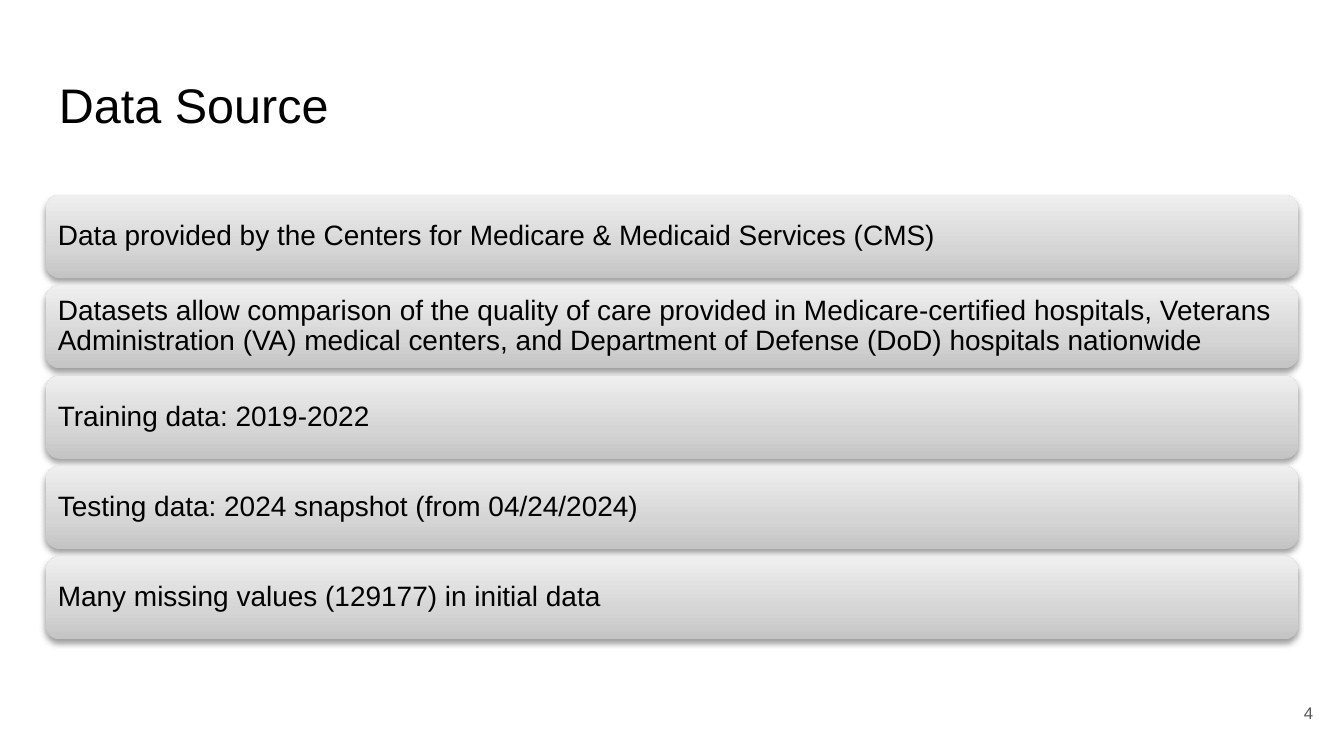
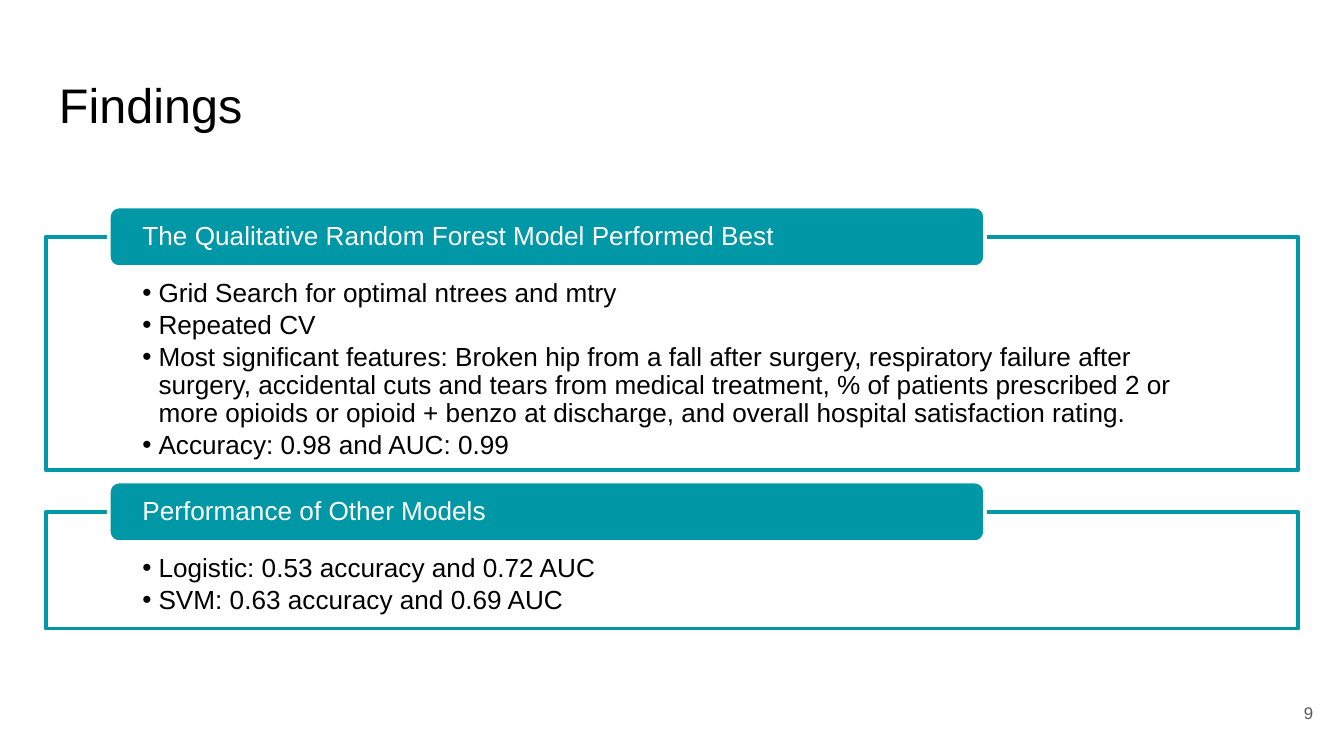
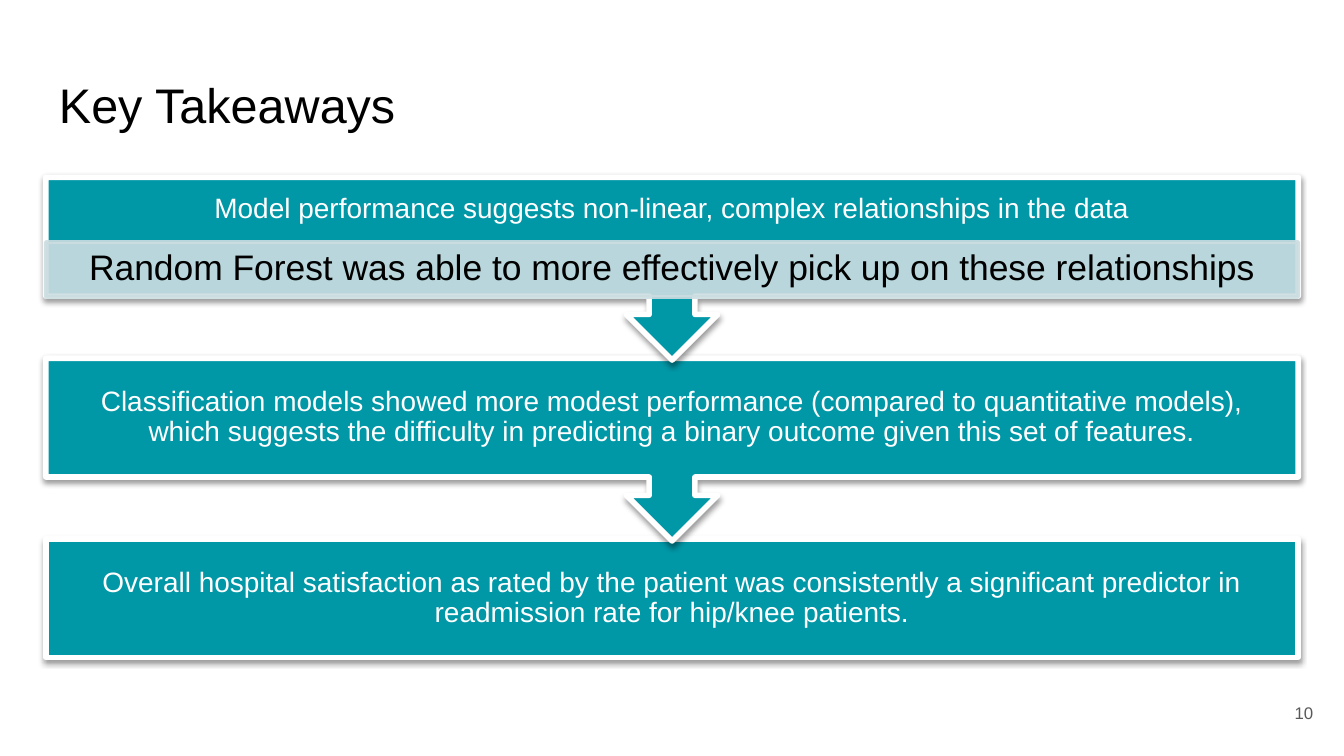
from pptx import Presentation
from pptx.dml.color import RGBColor
from pptx.enum.shapes import MSO_SHAPE as Form
from pptx.enum.text import MSO_ANCHOR as Anchor, PP_ALIGN as Align
from pptx.oxml import parse_xml
from pptx.oxml.ns import nsdecls, qn
from pptx.util import Pt

HUES = {
    "ink": "000000", "paper": "FFFFFF", "teal": "0097A7", "pale": "CCDDE1",
    "note": "595959", "low": "C4C4C4", "mid": "D5D5D5", "high": "EFEFEF",
}
FONT = "Arial"
LEFT, WIDE = 24.5, 671


def hue(name):
    return RGBColor.from_string(HUES[name])


def node(tag, inner="", **marks):
    pairs = "".join(f' {key}="{val}"' for key, val in marks.items())
    return parse_xml(f"<a:{tag} {nsdecls('a')}{pairs}>{inner}</a:{tag}>")


class Deck:
    def __init__(self):
        self.file = Presentation()
        self.file.slide_width, self.file.slide_height = Pt(720), Pt(405)
        self.page = None

    def start(self, title, number):
        """Add a slide with its title and page number."""
        self.page = self.file.slides.add_slide(self.file.slide_layouts[6])
        self.text(title, (LEFT, 35.3, WIDE, 45.4), size=26, pad=(7.2,) * 4)
        self.text(str(number), (667.4, 367.2, 43.2, 31), size=9, color="note",
                  align=Align.RIGHT, pad=(7.2,) * 4)

    def text(self, words, area, size=15, color="ink", align=Align.LEFT,
             anchor=Anchor.MIDDLE, pad=(0, 0, 0, 0), bullet=None):
        """Write one paragraph, or one for each item of a list."""
        frame = self.page.shapes.add_textbox(*map(Pt, area)).text_frame
        frame.word_wrap = True
        frame.vertical_anchor = anchor
        (frame.margin_left, frame.margin_top,
         frame.margin_right, frame.margin_bottom) = map(Pt, pad)
        lines = [words] if isinstance(words, str) else words
        frame.text = "\n".join(lines)
        for para in frame.paragraphs:
            para.alignment = align
            para.line_spacing = 0.9
            if bullet:
                para.level = 1
                para.space_after = Pt(2)
                props = para._p.get_or_add_pPr()
                props.set("marL", str(Pt(8.64)))
                props.set("indent", str(-Pt(8.64)))
                props.append(node("buFont", typeface=FONT))
                props.append(node("buChar", char=bullet))
            para.font.name, para.font.size = FONT, Pt(size)
            para.font.color.rgb = hue(color)

    def shape(self, form, area, fill=None, line=None, width=2, fade=0,
              shade=False, turn=0):
        """Draw a shape; fade counts the colours (fill, then line) at 90%."""
        item = self.page.shapes.add_shape(form, *map(Pt, area))
        item.rotation = turn
        props = item._element.spPr
        if fill:
            item.fill.solid()
            item.fill.fore_color.rgb = hue(fill)
        else:
            props.insert(2, self.blend())
        if line:
            item.line.color.rgb = hue(line)
            item.line.width = Pt(width)
        else:
            item.line.fill.background()
        for dye in list(props.iter(qn("a:srgbClr")))[:fade]:
            dye.append(node("alpha", val=90000))
        item.shadow.inherit = False
        if shade:
            dark = f'<a:srgbClr val="{HUES["ink"]}"><a:alpha val="38000"/></a:srgbClr>'
            props.find(qn("a:effectLst")).append(
                node("outerShdw", dark, blurRad=Pt(3.1), dist=Pt(1.6),
                     dir=5400000, rotWithShape=0))

    def blend(self):
        """Grey gradient, dark at the foot."""
        stops = "".join(
            f'<a:gs pos="{spot * 1000}"><a:srgbClr val="{HUES[name]}"/></a:gs>'
            for spot, name in ((0, "low"), (35, "mid"), (100, "high")))
        return node("gradFill", f'<a:gsLst>{stops}</a:gsLst>'
                    '<a:lin ang="16200000" scaled="0"/>', rotWithShape=1)

    def bar(self, words, top):
        high, edge = 44.6, 2.2
        self.shape(Form.ROUNDED_RECTANGLE, (LEFT, top, WIDE, high), shade=True)
        self.text(words, (LEFT + edge, top + edge, WIDE - 2 * edge, high - 2 * edge),
                  pad=(4.3,) * 4)

    def panel(self, head, points, top, high):
        """Outlined list with a heading tab on its upper edge."""
        area = (LEFT, top, WIDE, high)
        self.shape(Form.RECTANGLE, area, fill="paper", line="teal", fade=1)
        self.text(points, area, size=14, anchor=Anchor.TOP,
                  pad=(51.8, 23, 51.8, 8), bullet="•")
        tab = (58.3, top - 16.2, 469.4, 32.4)
        self.shape(Form.ROUNDED_RECTANGLE, tab, fill="teal", line="paper")
        self.text(head, tab, size=14, color="paper", pad=(18, 0, 18, 0))

    def step(self, words, top, last, high):
        form, tall, turn = ((Form.RECTANGLE, 63.4, 0) if last
                            else (Form.UP_ARROW_CALLOUT, 97.9, 180))
        self.shape(form, (LEFT, top, WIDE, tall), fill="teal", line="paper",
                   width=3, shade=True, turn=turn)
        self.text(words, (LEFT, top, WIDE, high), color="paper",
                  align=Align.CENTER, pad=(8.4,) * 4)

    def strip(self, words, top):
        area = (LEFT, top, WIDE, 29.5)
        self.shape(Form.RECTANGLE, area, fill="pale", line="pale", fade=2)
        self.text(words, area, size=19, align=Align.CENTER,
                  pad=(10.8, 2.2, 10.8, 2.2))


FACTS = [
    "Data provided by the Centers for Medicare & Medicaid Services (CMS)",
    "Datasets allow comparison of the quality of care provided in Medicare-certified "
    "hospitals, Veterans Administration (VA) medical centers, and Department of "
    "Defense (DoD) hospitals nationwide",
    "Training data: 2019-2022",
    "Testing data: 2024 snapshot (from 04/24/2024)",
    "Many missing values (129177) in initial data",
]
BEST = [
    "Grid Search for optimal ntrees and mtry",
    "Repeated CV",
    "Most significant features: Broken hip from a fall after surgery, respiratory "
    "failure after surgery, accidental cuts and tears from medical treatment, % of "
    "patients prescribed 2 or more opioids or opioid + benzo at discharge, and "
    "overall hospital satisfaction rating.",
    "Accuracy: 0.98 and AUC: 0.99",
]
OTHERS = [
    "Logistic: 0.53 accuracy and 0.72 AUC",
    "SVM: 0.63 accuracy and 0.69 AUC",
]
STEPS = [
    ("Model performance suggests non-linear, complex relationships in the data", 34.6),
    ("Classification models showed more modest performance (compared to "
     "quantitative models), which suggests the difficulty in predicting a binary "
     "outcome given this set of features.", 63.4),
    ("Overall hospital satisfaction as rated by the patient was consistently a "
     "significant predictor in readmission rate for hip/knee patients.", 63.4),
]


def main():
    deck = Deck()

    deck.start("Data Source", 4)
    for row, fact in enumerate(FACTS):
        deck.bar(fact, 104.4 + 48.4 * row)

    deck.start("Findings", 9)
    deck.panel("The Qualitative Random Forest Model Performed Best", BEST, 126.9, 125)
    deck.panel("Performance of Other Models", OTHERS, 274.2, 62.6)

    deck.start("Key Takeaways", 10)
    final = len(STEPS) - 1
    for row in range(final, -1, -1):  # upper arrows overlap lower boxes
        words, high = STEPS[row]
        deck.step(words, 95 + 96.9 * row, row == final, high)
    deck.strip("Random Forest was able to more effectively pick up on these "
               "relationships", 129.6)

    deck.file.save("out.pptx")


if __name__ == "__main__":
    main()
